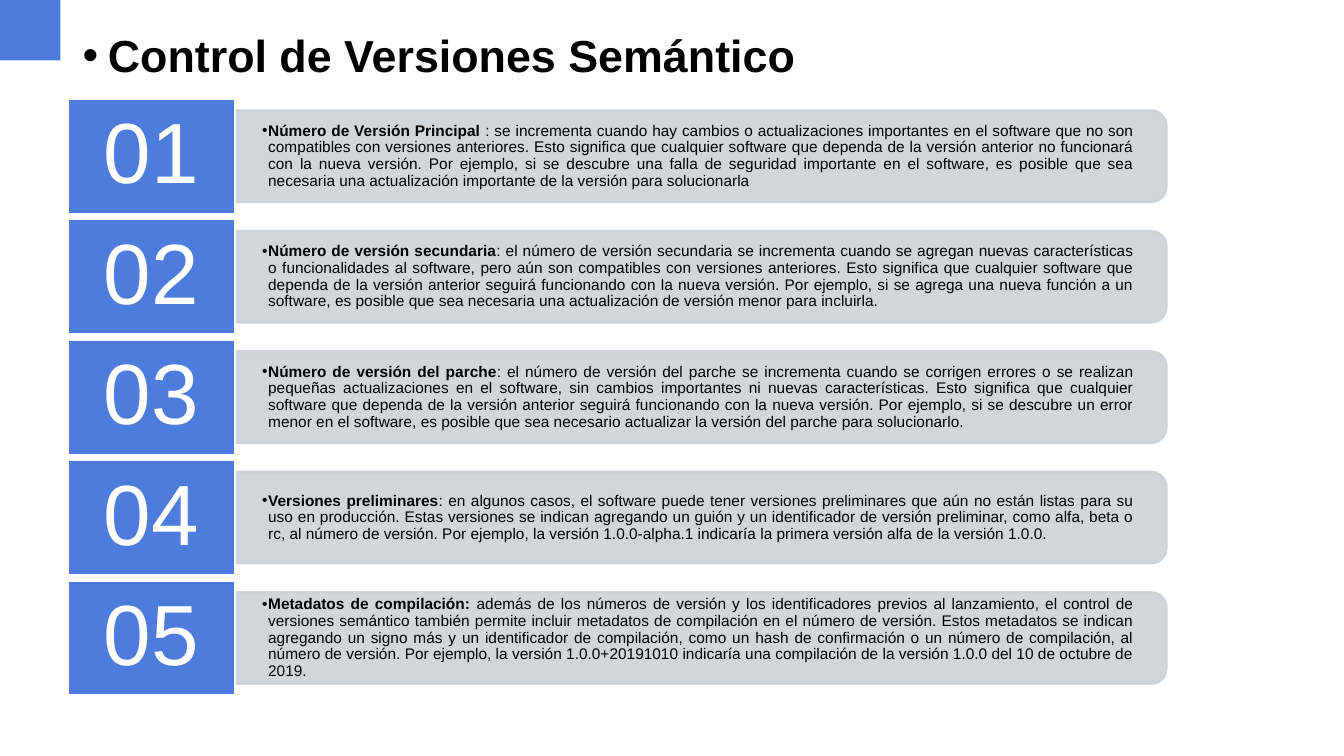
from dataclasses import dataclass

from lxml import etree
from pptx import Presentation
from pptx.dml.color import RGBColor
from pptx.enum import shapes, text
from pptx.oxml import ns
from pptx.util import Inches, Pt

HUES = {"blue": "4E7CDD", "gray": "CCD2D8", "white": "FFFFFF", "black": "000000"}
FONT = "Arial"

# Row grid
TOP, LAST, COUNT = 0.98, 5.76, 5
PITCH = (LAST - TOP) / (COUNT - 1)
LEFT, TILE_W, TILE_H = 0.67, 1.66, 1.14
BAR_W, BAR_H = 9.24, 0.91
BODY_W, BODY_H = 9.19, 0.82


@dataclass
class Item:
    head: str
    body: str


ITEMS = [
    Item("Número de Versión Principal ",
         ": se incrementa cuando hay cambios o actualizaciones importantes en el software "
         "que no son compatibles con versiones anteriores. Esto significa que cualquier "
         "software que dependa de la versión anterior no funcionará con la nueva versión. "
         "Por ejemplo, si se descubre una falla de seguridad importante en el software, es "
         "posible que sea necesaria una actualización importante de la versión para "
         "solucionarla"),
    Item("Número de versión secundaria",
         ": el número de versión secundaria se incrementa cuando se agregan nuevas "
         "características o funcionalidades al software, pero aún son compatibles con "
         "versiones anteriores. Esto significa que cualquier software que dependa de la "
         "versión anterior seguirá funcionando con la nueva versión. Por ejemplo, si se "
         "agrega una nueva función a un software, es posible que sea necesaria una "
         "actualización de versión menor para incluirla."),
    Item("Número de versión del parche",
         ": el número de versión del parche se incrementa cuando se corrigen errores o se "
         "realizan pequeñas actualizaciones en el software, sin cambios importantes ni "
         "nuevas características. Esto significa que cualquier software que dependa de la "
         "versión anterior seguirá funcionando con la nueva versión. Por ejemplo, si se "
         "descubre un error menor en el software, es posible que sea necesario actualizar "
         "la versión del parche para solucionarlo."),
    Item("Versiones preliminares",
         ": en algunos casos, el software puede tener versiones preliminares que aún no "
         "están listas para su uso en producción. Estas versiones se indican agregando un "
         "guión y un identificador de versión preliminar, como alfa, beta o rc, al número "
         "de versión. Por ejemplo, la versión 1.0.0-alpha.1 indicaría la primera versión "
         "alfa de la versión 1.0.0."),
    Item("Metadatos de compilación: ",
         "además de los números de versión y los identificadores previos al lanzamiento, "
         "el control de versiones semántico también permite incluir metadatos de "
         "compilación en el número de versión. Estos metadatos se indican agregando un "
         "signo más y un identificador de compilación, como un hash de confirmación o un "
         "número de compilación, al número de versión. Por ejemplo, la versión "
         "1.0.0+20191010 indicaría una compilación de la versión 1.0.0 del 10 de octubre "
         "de 2019."),
]


def hue(name: str) -> RGBColor:
    return RGBColor.from_string(HUES[name])


def add_box(slide, kind, x: float, y: float, w: float, h: float, fill: str, line: str = ""):
    box = slide.shapes.add_shape(kind, Inches(x), Inches(y), Inches(w), Inches(h))
    box.shadow.inherit = False
    box.fill.solid()
    box.fill.fore_color.rgb = hue(fill)
    if line:
        box.line.color.rgb = hue(line)
        box.line.width = Pt(1.5)
    else:
        box.line.fill.background()
    return box


def set_frame(frame, dx: float, dy: float) -> None:
    frame.word_wrap = True
    frame.auto_size = text.MSO_AUTO_SIZE.NONE
    frame.vertical_anchor = text.MSO_ANCHOR.MIDDLE
    frame.margin_left = frame.margin_right = Inches(dx)
    frame.margin_top = frame.margin_bottom = Inches(dy)


def style(para, size: float, color: str, align, indent: float = 0) -> None:
    """Format a paragraph; a positive indent gives it a hanging bullet."""
    para.alignment = align
    para.line_spacing = 0.9
    para.space_before = Pt(0)
    if indent:
        props = para._p.get_or_add_pPr()
        props.set("marL", str(Inches(indent)))
        props.set("indent", str(-Inches(indent)))
        etree.SubElement(props, ns.qn("a:buFont")).set("typeface", FONT)
        etree.SubElement(props, ns.qn("a:buChar")).set("char", "•")
    para.font.name = FONT
    para.font.size = Pt(size)
    para.font.color.rgb = hue(color)


def add_title(slide) -> None:
    title = slide.shapes.title
    title.left, title.top = Inches(0.72), Inches(0.32)
    title.width, title.height = Inches(12.86), Inches(0.51)
    set_frame(title.text_frame, 0.1, 0.05)
    title.text_frame.text = "Control de Versiones Semántico"
    para = title.text_frame.paragraphs[0]
    style(para, 32, "black", text.PP_ALIGN.LEFT, 0.25)
    para.font.bold = True


def add_row(slide, num: int, item: Item) -> None:
    top = TOP + (num - 1) * PITCH
    mid = top + TILE_H / 2
    edge = LEFT + TILE_W

    # Bar turned so that its round corners face right
    bar = add_box(slide, shapes.MSO_SHAPE.ROUND_2_SAME_RECTANGLE,
                  edge + (BAR_W - BAR_H) / 2, mid - BAR_W / 2, BAR_H, BAR_W, "gray", "gray")
    bar.rotation = 90
    for tint in bar._element.spPr.iter(ns.qn("a:srgbClr")):
        etree.SubElement(tint, ns.qn("a:alpha")).set("val", "90000")

    # Description
    body = slide.shapes.add_textbox(Inches(edge), Inches(mid - BODY_H / 2),
                                    Inches(BODY_W), Inches(BODY_H))
    set_frame(body.text_frame, 0.27, 0.14)
    para = body.text_frame.paragraphs[0]
    for words, bold in ((item.head, True), (item.body, False)):
        run = para.add_run()
        run.text = words
        run.font.bold = bold
    style(para, 11, "black", text.PP_ALIGN.JUSTIFY, 0.06)

    # Number tile
    tile = add_box(slide, shapes.MSO_SHAPE.RECTANGLE, LEFT, top, TILE_W, TILE_H,
                   "blue", "white")
    set_frame(tile.text_frame, 0.25, 0.13)
    tile.text_frame.text = f"{num:02}"
    style(tile.text_frame.paragraphs[0], 61, "white", text.PP_ALIGN.CENTER)


def main() -> None:
    deck = Presentation()
    deck.slide_width, deck.slide_height = Inches(13.33), Inches(7.5)
    slide = deck.slides.add_slide(deck.slide_layouts[5])

    # Corner square and title
    add_box(slide, shapes.MSO_SHAPE.RECTANGLE, 0, 0, 0.6, 0.6, "blue")
    add_title(slide)

    # Numbered rows
    for num, item in enumerate(ITEMS, 1):
        add_row(slide, num, item)
    deck.save("out.pptx")


if __name__ == "__main__":
    main()
